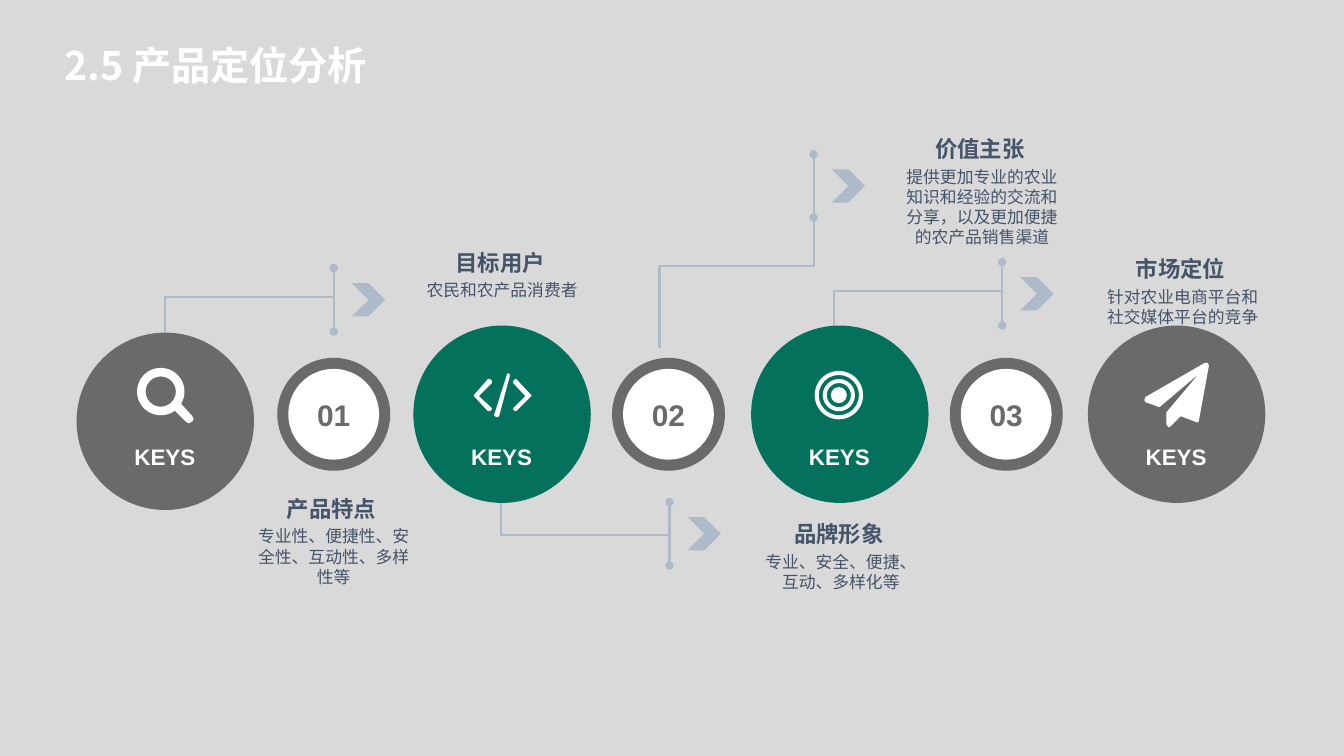
from dataclasses import dataclass

from lxml import etree
from pptx import Presentation
from pptx.dml.color import RGBColor
from pptx.enum.shapes import MSO_CONNECTOR, MSO_SHAPE
from pptx.enum.text import MSO_ANCHOR, PP_ALIGN
from pptx.oxml.ns import qn
from pptx.util import Pt

PX = 9144
OVAL = MSO_SHAPE.OVAL
DONUT = MSO_SHAPE.DONUT
ARROW = MSO_SHAPE.CHEVRON
LINE = MSO_CONNECTOR.STRAIGHT
ELBOW = MSO_CONNECTOR.ELBOW
MID, TOP = MSO_ANCHOR.MIDDLE, MSO_ANCHOR.TOP
MIDST, LEFT = PP_ALIGN.CENTER, PP_ALIGN.LEFT


@dataclass(frozen=True)
class Theme:
    back: str = "D9D9D9"
    gray: str = "6A6A6A"
    green: str = "03715B"
    white: str = "FFFFFF"
    ink: str = "445469"
    link: str = "ADBACA"
    font: str = "Arial"
    han: str = "Noto Sans CJK SC"
    title: float = 28
    count: float = 21.3
    head: float = 16
    body: float = 12
    rule: float = 1.5


T = Theme()

CODE = [
    [(17, 38), (15, 38), (1, 23), (1, 22), (15, 6), (17, 6),
     (19, 8), (19, 10), (6, 23), (19, 35), (19, 36)],
    [(26, 43), (24, 44), (22, 43), (21, 42), (34, 1), (35, 0), (36, 1), (37, 2)],
    [(43, 38), (42, 38), (40, 36), (40, 35), (52, 23), (40, 10),
     (40, 8), (42, 6), (43, 6), (58, 22), (58, 23)],
]
PLANE = [
    [(64, 3), (54, 58), (53, 59), (52, 59), (36, 53), (26, 63), (24, 64), (22, 61),
     (22, 49), (54, 11), (15, 44), (1, 39), (0, 37), (1, 34), (60, 0), (63, 0)],
]
GRIP = [[(37, 42), (43, 35), (54, 47), (56, 50), (55, 53), (51, 55), (48, 53)]]


def paint(shape, color):
    shape.shadow.inherit = False
    shape.fill.solid()
    shape.fill.fore_color.rgb = RGBColor.from_string(color)
    shape.line.fill.background()
    return shape


def draw(slide, kind, x, y, w, h, color):
    return paint(slide.shapes.add_shape(kind, x * PX, y * PX, w * PX, h * PX), color)


def trace(slide, x, y, loops, color):
    form = slide.shapes.build_freeform(*loops[0][0], scale=PX)
    form.add_line_segments(loops[0][1:])
    for loop in loops[1:]:
        form.move_to(*loop[0])
        form.add_line_segments(loop[1:])
    paint(form.convert_to_shape(x * PX, y * PX), color)


def write(slide, text, x, y, w, h, size, color, bold=True, font=T.font,
          align=MIDST, anchor=TOP, pad=0):
    box = slide.shapes.add_textbox(x * PX, y * PX, w * PX, h * PX)
    frame = box.text_frame
    frame.word_wrap = True
    frame.vertical_anchor = anchor
    frame.margin_left = frame.margin_right = pad * PX
    frame.margin_top = frame.margin_bottom = pad * PX // 2
    para = frame.paragraphs[0]
    para.alignment = align
    run = para.add_run()
    run.text = text
    run.font.size = Pt(size)
    run.font.bold = bold
    run.font.name = font
    run.font.color.rgb = RGBColor.from_string(color)
    east = etree.SubElement(run._r.get_or_add_rPr(), qn("a:ea"))
    east.set("typeface", T.han)


def join(slide, kind, start, end, dots=False):
    ends = [n * PX for n in (*start, *end)]
    line = slide.shapes.add_connector(kind, *ends)
    line.line.color.rgb = RGBColor.from_string(T.link)
    line.line.width = Pt(T.rule)
    if dots:
        for tag in ("a:headEnd", "a:tailEnd"):
            etree.SubElement(line.line._ln, qn(tag)).set("type", "oval")
    etree.SubElement(line._element.spPr, qn("a:effectLst"))
    return line


def stem(slide, x, y):
    join(slide, LINE, (x, y), (x, y + 63), dots=True)
    draw(slide, ARROW, x + 18, y + 15, 33, 33, T.link)


def branch(slide, x, y, turn, end):
    stem(slide, x, y)
    bend = join(slide, ELBOW, (x, y + turn), (x - 167, y + end))
    bend._element.spPr.find(qn("a:prstGeom")).set("prst", "bentConnector2")


def climb(slide, x, y):
    stem(slide, x, y)
    bend = join(slide, ELBOW, (x - 158, y + 34), (x + 5, y + 187))
    bend._element.spPr.find(qn("a:xfrm")).set("rot", "5400000")


def lens(slide, x, y):
    ring = draw(slide, DONUT, x + 60, y + 42, 47, 47, T.white)
    ring.adjustments[0] = 0.18
    trace(slide, x + 60, y + 42, GRIP, T.white)


def code(slide, x, y):
    trace(slide, x + 59, y + 47, CODE, T.white)


def target(slide, x, y):
    for inset, size in ((0, 48), (8, 32)):
        ring = draw(slide, DONUT, x + 63 + inset, y + 45 + inset, size, size, T.white)
        ring.adjustments[0] = 4 / size
    draw(slide, OVAL, x + 79, y + 61, 16, 16, T.white)


def plane(slide, x, y):
    trace(slide, x + 56, y + 37, PLANE, T.white)


def disc(slide, x, y, color, icon, drop=0):
    draw(slide, OVAL, x, y + drop, 176, 176, color)
    icon(slide, x, y)
    write(slide, "KEYS", x + 15, y + 116, 145, 27, T.head, T.white, anchor=MID)


def badge(slide, x, y, text):
    draw(slide, OVAL, x, y, 112, 112, T.gray)
    draw(slide, OVAL, x + 11, y + 11, 90, 90, T.white)
    write(slide, text, x + 11, y + 11, 90, 90, T.count, T.gray, anchor=MID)


def note(slide, x, y, head, body, rows):
    write(slide, head, x, y, 214, 27, T.head, T.ink)
    write(slide, body, x + 28, y + 31, 162, rows * 20, T.body, T.ink, bold=False)


def build(slide):
    fill = slide.background.fill
    fill.solid()
    fill.fore_color.rgb = RGBColor.from_string(T.back)
    write(slide, "2.5 产品定位分析", 54, 36, 474, 57, T.title, T.white,
          font=T.han, align=LEFT, pad=10)
    for x, y, turn, end in ((331, 266, 29, 63), (994, 260, 29, 63), (664, 498, 33, 0)):
        branch(slide, x, y, turn, end)
    climb(slide, 807, 153)
    disc(slide, 76, 323, T.gray, lens, drop=7)
    disc(slide, 410, 323, T.green, code)
    disc(slide, 745, 323, T.green, target)
    disc(slide, 1079, 323, T.gray, plane)
    for x, text in ((275, "01"), (607, "02"), (942, "03")):
        badge(slide, x, 355, text)
    for x, y, head, body, rows in (
        (222, 491, "产品特点", "专业性、便捷性、安全性、互动性、多样性等", 3),
        (389, 247, "目标用户", "农民和农产品消费者", 1),
        (725, 516, "品牌形象", "专业、安全、便捷、互动、多样化等", 2),
        (1064, 253, "市场定位", "针对农业电商平台和社交媒体平台的竞争", 2),
        (865, 134, "价值主张", "提供更加专业的农业知识和经验的交流和分享，以及更加便捷的农产品销售渠道", 4),
    ):
        note(slide, x, y, head, body, rows)


def main():
    deck = Presentation()
    deck.slide_width, deck.slide_height = 1333 * PX, 750 * PX
    build(deck.slides.add_slide(deck.slide_layouts[6]))
    deck.save("out.pptx")


if __name__ == "__main__":
    main()
